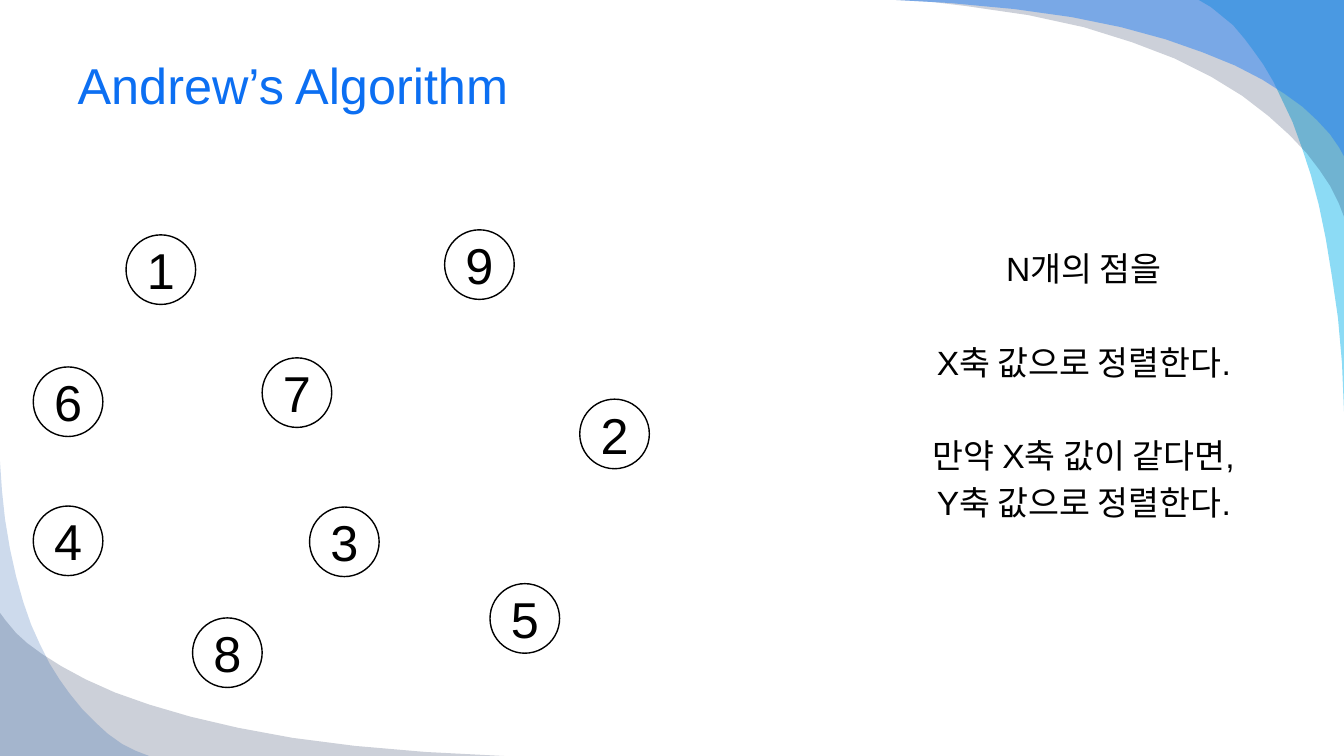
from lxml import etree
from pptx import Presentation
from pptx import util as u
from pptx.dml.color import RGBColor
from pptx.enum import shapes, text
from pptx.oxml import ns

PX = 9144  # 100 px to the inch
FONT = "Arial"
WHITE = RGBColor(0xFF, 0xFF, 0xFF)
BLACK = RGBColor(0, 0, 0)
TITLE = RGBColor(0x0C, 0x6F, 0xF2)
CYAN = RGBColor(0x00, 0xB1, 0xE9)
NAVY = RGBColor(0x02, 0x17, 0x41)
BLUE = RGBColor(0x24, 0x7F, 0xF4)
STEEL = RGBColor(0x08, 0x4A, 0xA1)


def add_run(para, words, size, color):
    run = para.add_run()
    run.text = words
    run.font.name = FONT
    run.font.size = u.Pt(size)
    run.font.color.rgb = color


def place(shape, *box):
    shape.left, shape.top, shape.width, shape.height = [n * PX for n in box]


deck = Presentation()
deck.slide_width, deck.slide_height = 1333 * PX, 750 * PX
slide = deck.slides.add_slide(deck.slide_layouts[1])

# Corner waves: colour, opacity in percent, outline
waves = [
    (CYAN, 45, [
        (1333, 408), (1333, 0), (1189, 0), (1201, 7), (1212, 16), (1223, 25),
        (1234, 38), (1243, 50), (1253, 64), (1263, 81), (1272, 100),
        (1282, 121), (1291, 146), (1300, 173), (1308, 203), (1315, 237),
        (1321, 274), (1327, 315), (1331, 360)]),
    (NAVY, 20, [
        (889, 0), (1333, 0), (1333, 215), (1328, 202), (1319, 184), (1309, 169),
        (1296, 152), (1279, 134), (1258, 115), (1232, 95), (1201, 76),
        (1165, 58), (1123, 42), (1075, 27), (1020, 15), (958, 6), (925, 2)]),
    (BLUE, 49, [
        (889, 0), (1333, 0), (1333, 155), (1328, 146), (1319, 133), (1306, 119),
        (1292, 106), (1274, 93), (1252, 79), (1225, 65), (1193, 52),
        (1156, 39), (1112, 27), (1063, 17), (1006, 9), (942, 3)]),
    (NAVY, 20, [
        (500, 750), (0, 750), (0, 608), (6, 616), (16, 628), (27, 638),
        (42, 649), (61, 661), (85, 674), (114, 687), (148, 699), (189, 711),
        (236, 722), (290, 732), (352, 740), (422, 746)]),
    (STEEL, 20, [
        (0, 458), (0, 750), (148, 750), (135, 745), (121, 738), (107, 728),
        (95, 717), (82, 704), (69, 688), (59, 674), (49, 658), (40, 640),
        (31, 620), (23, 597), (16, 572), (10, 545), (5, 515), (2, 487)]),
]
for i, (color, alpha, pts) in enumerate(waves):
    pen = slide.shapes.build_freeform(*pts[0], scale=PX)
    pen.add_line_segments(pts[1:], close=True)
    wave = pen.convert_to_shape()
    wave.shadow.inherit = False
    wave.fill.solid()
    wave.fill.fore_color.rgb = color
    wave.line.fill.background()
    node = wave._element
    tint = node.spPr.find(".//" + ns.qn("a:srgbClr"))
    etree.SubElement(tint, ns.qn("a:alpha"), val=str(alpha * 1000))
    node.getparent().insert(2 + i, node)  # behind the text

# Title
title = slide.shapes.title
place(title, 67, 33, 1200, 101)
title.text_frame.vertical_anchor = text.MSO_ANCHOR.MIDDLE
para = title.text_frame.paragraphs[0]
para.alignment = text.PP_ALIGN.LEFT
add_run(para, "Andrew’s Algorithm", 36, TITLE)

# Sorting rule: text, space before in points
body = slide.placeholders[1]
place(body, 848, 148, 454, 522)
frame = body.text_frame
frame.auto_size = text.MSO_AUTO_SIZE.NONE
frame.margin_top = 98 * PX
steps = [
    ("N개의 점을", 0),
    ("X축 값으로 정렬한다.", 38),
    ("만약 X축 값이 같다면,", 38),
    ("Y축 값으로 정렬한다.", 5),
]
for i, (words, gap) in enumerate(steps):
    para = frame.add_paragraph() if i else frame.paragraphs[0]
    para.alignment = text.PP_ALIGN.CENTER
    para.space_before = u.Pt(gap)
    prop = para._p.get_or_add_pPr()
    prop.set("marL", "0")
    prop.set("indent", "0")
    etree.SubElement(prop, ns.qn("a:buNone"))
    add_run(para, words, 24, BLACK)

# Numbered points: number, left, top
SIZE = 69
dots = [
    (1, 125, 233), (2, 575, 396), (4, 33, 502), (3, 307, 503), (5, 486, 579),
    (6, 33, 364), (8, 191, 613), (9, 441, 228), (7, 260, 355),
]
for num, x, y in dots:
    dot = slide.shapes.add_shape(
        shapes.MSO_SHAPE.OVAL, x * PX, y * PX, SIZE * PX, SIZE * PX)
    dot.shadow.inherit = False
    dot.fill.solid()
    dot.fill.fore_color.rgb = WHITE
    dot.line.color.rgb = BLACK
    dot.line.width = u.Pt(1)
    dot.text_frame.vertical_anchor = text.MSO_ANCHOR.MIDDLE
    para = dot.text_frame.paragraphs[0]
    para.alignment = text.PP_ALIGN.CENTER
    add_run(para, str(num), 36, BLACK)

deck.save("out.pptx")
